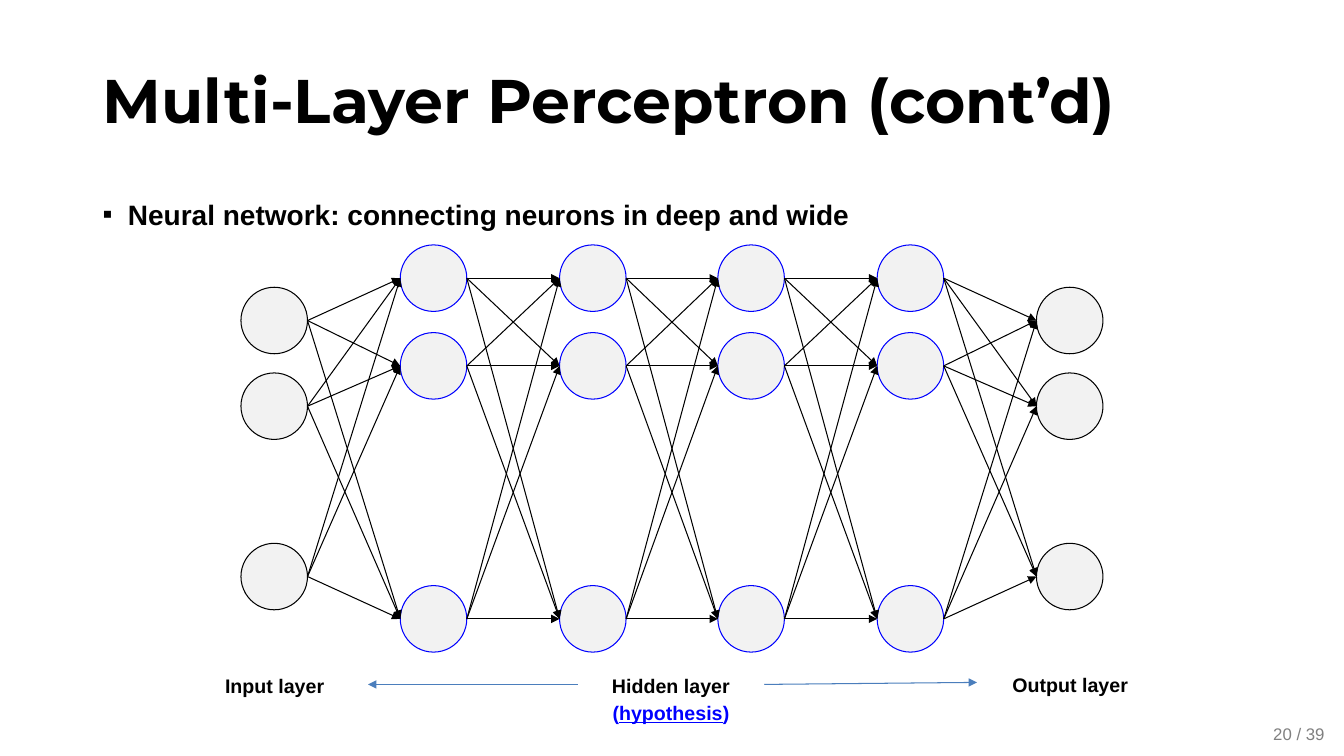
from itertools import product

from lxml import etree
from pptx import Presentation
from pptx.dml.color import RGBColor
from pptx.enum.shapes import MSO_CONNECTOR, MSO_SHAPE
from pptx.enum.text import MSO_ANCHOR, PP_ALIGN
from pptx.oxml.ns import qn
from pptx.util import Pt

LINE, OVAL = MSO_CONNECTOR.STRAIGHT, MSO_SHAPE.OVAL
TOP, MIDDLE = MSO_ANCHOR.TOP, MSO_ANCHOR.MIDDLE
LEFT, CENTER = PP_ALIGN.LEFT, PP_ALIGN.CENTER

SCALE = 9144  # EMU in one px, 100 px to the inch
WIDTH, HEIGHT = 1333, 750
BLACK, BLUE, GREY, STEEL, PALE = "000000", "0000FF", "808080", "4B7EBC", "F2F2F2"

HEAD = dict(name="Montserrat", size=Pt(44), bold=True)
POINT = dict(name="Arial", size=Pt(20), bold=True)
LABEL = dict(name="Arial", size=Pt(14), bold=True)
PAGE = dict(name="Arial", size=Pt(12))
UNDER = dict(underline=True)

# box, runs, font, colour, layout
TEXTS = [
    ((1253, 713, 73, 30), [("20 / 39", {})], PAGE, GREY, dict(wrap=False)),
    ((92, 30, 1150, 145), [("Multi-Layer Perceptron (cont’d)", {})], HEAD, BLACK,
     dict(anchor=MIDDLE, space=0.9)),
    ((92, 174, 1150, 535),
     [("Neural network: connecting neurons in deep and wide", {})], POINT, BLACK,
     dict(space=1.5, bullet="▪")),
    ((180, 659, 185, 39), [("Input layer", {})], LABEL, BLACK,
     dict(align=CENTER, space=1.2)),
    ((969, 658, 185, 39), [("Output layer", {})], LABEL, BLACK,
     dict(align=CENTER, space=1.2)),
    ((573, 659, 185, 39), [("Hidden layer", {})], LABEL, BLACK,
     dict(align=CENTER, space=1.2)),
    ((596, 686, 139, 39), [("(", {}), ("hypothesis", UNDER), (")", {})], LABEL, BLUE,
     dict(align=CENTER, space=1.2, wrap=False)),
]
SPANS = [((758, 679), (969, 677)), ((573, 679), (365, 679))]

NODE = 66
FIRST, LAST = 239, 1028
OUTER, INNER = (285, 370, 539), (243, 330, 581)  # tops of the neurons
LAYERS = [(OUTER, BLACK)] + [(INNER, BLUE)] * 4 + [(OUTER, BLACK)]


def emu(*sizes):
    return [size * SCALE for size in sizes]


def rgb(code):
    return RGBColor.from_string(code)


def add_text(slide, box, runs, font, color, wrap=True, anchor=TOP,
             align=LEFT, space=1.0, bullet=None):
    frame = slide.shapes.add_textbox(*emu(*box)).text_frame
    frame.word_wrap, frame.vertical_anchor = wrap, anchor
    para = frame.paragraphs[0]
    para.alignment, para.line_spacing = align, space
    if bullet:
        props = para._p.get_or_add_pPr()
        indent = 25 * SCALE
        props.set("marL", str(indent))
        props.set("indent", str(-indent))
        etree.SubElement(props, qn("a:buFont")).set("typeface", "Arial")
        etree.SubElement(props, qn("a:buChar")).set("char", bullet)
    for words, extra in runs:
        run = para.add_run()
        run.text = words
        for key, value in {**font, **extra}.items():
            setattr(run.font, key, value)
        run.font.color.rgb = rgb(color)


def add_arrow(slide, start, end, color):
    arrow = slide.shapes.add_connector(LINE, *emu(*start, *end))
    arrow.line.width = Pt(0.75)
    arrow.line.color.rgb = rgb(color)
    tip = etree.SubElement(arrow.line._get_or_add_ln(), qn("a:tailEnd"))
    tip.set("type", "triangle")
    etree.SubElement(arrow._element.spPr, qn("a:effectLst"))


def add_node(slide, x, y, color):
    node = slide.shapes.add_shape(OVAL, *emu(x, y, NODE, NODE))
    node.shadow.inherit = False
    node.fill.solid()
    node.fill.fore_color.rgb = rgb(PALE)
    node.line.width = Pt(0.75)
    node.line.color.rgb = rgb(color)


def add_net(slide):
    gaps = len(LAYERS) - 1
    cols = [FIRST + round((LAST - FIRST) * i / gaps) for i in range(gaps + 1)]
    for x, (tops, color) in zip(cols, LAYERS):
        for y in tops:
            add_node(slide, x, y, color)
    half = NODE // 2
    for i in range(gaps):
        for y, goal in product(LAYERS[i][0], LAYERS[i + 1][0]):
            add_arrow(slide, (cols[i] + NODE, y + half),
                      (cols[i + 1], goal + half), BLACK)


def main():
    deck = Presentation()
    deck.slide_width, deck.slide_height = emu(WIDTH, HEIGHT)
    slide = deck.slides.add_slide(deck.slide_layouts[6])
    add_net(slide)
    for box, runs, font, color, layout in TEXTS:
        add_text(slide, box, runs, font, color, **layout)
    for start, end in SPANS:
        add_arrow(slide, start, end, STEEL)
    deck.save("out.pptx")


if __name__ == "__main__":
    main()
